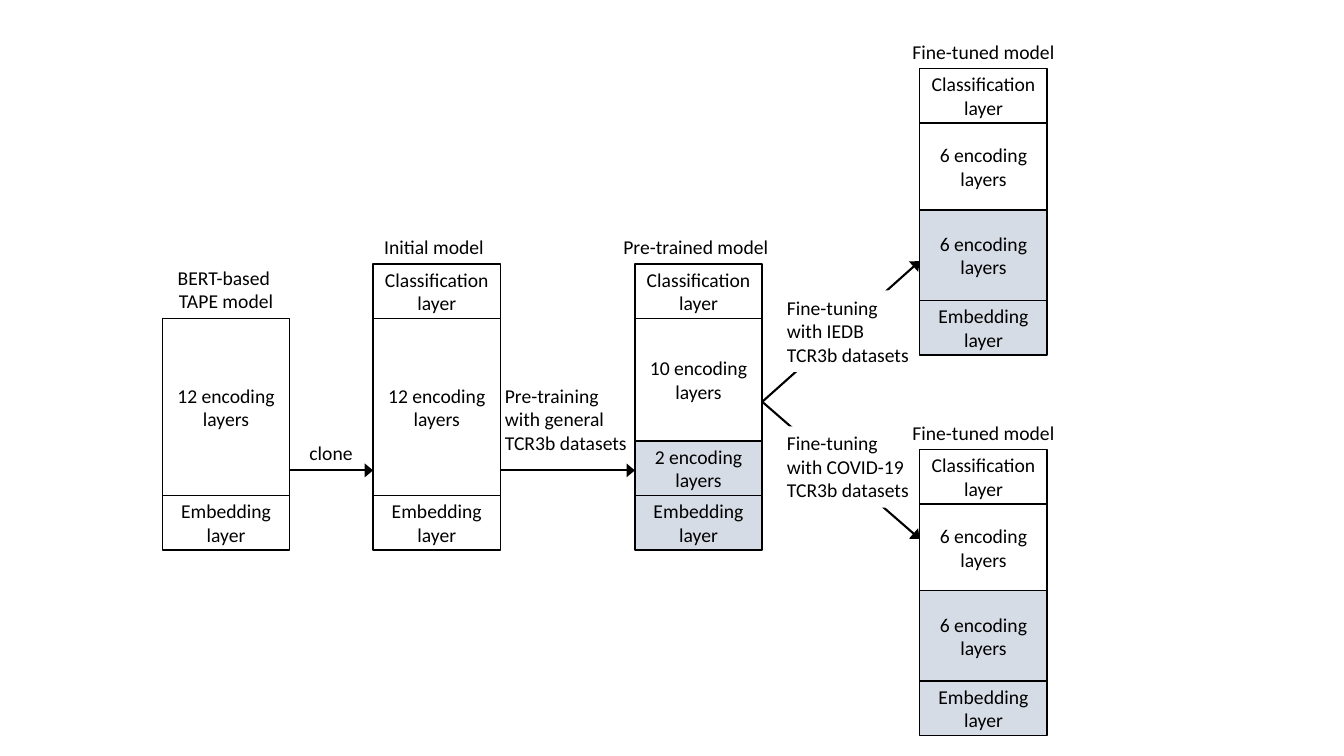
from lxml import etree
from pptx import Presentation
from pptx.dml.color import RGBColor
from pptx.enum import shapes, text
from pptx.oxml import ns
from pptx.util import Pt

BLACK, WHITE, TRAINED = "000000", "FFFFFF", "D6DCE5"
COLUMN_WIDTH = 91
LAYER_HEIGHT = 39
LABEL_WIDTH = 118
LINE_HEIGHT = 17
CENTER, LEFT = text.PP_ALIGN.CENTER, text.PP_ALIGN.LEFT


def color(value):
    return RGBColor.from_string(value)


def write(shape, words, alignment):
    frame = shape.text_frame
    frame.text = words
    for paragraph in frame.paragraphs:
        paragraph.alignment = alignment
        for run in paragraph.runs:
            run.font.size = Pt(14)
            run.font.name = "Calibri"
            run.font.color.rgb = color(BLACK)


def add_label(slide, words, left, top, width, alignment=LEFT, fill=None):
    """Unwrapped text whose height follows its number of lines."""
    height = LINE_HEIGHT * len(words.split("\n")) + 7.2
    shape = slide.shapes.add_textbox(Pt(left), Pt(top), Pt(width), Pt(height))
    if fill:
        shape.fill.solid()
        shape.fill.fore_color.rgb = color(fill)
    write(shape, words, alignment)
    shape.text_frame.word_wrap = False
    shape.text_frame.auto_size = text.MSO_AUTO_SIZE.SHAPE_TO_FIT_TEXT


def add_arrow(slide, start, end):
    arrow = slide.shapes.add_connector(
        shapes.MSO_CONNECTOR.STRAIGHT, *(Pt(value) for value in (*start, *end)))
    arrow.line.width = Pt(1.5)
    arrow.line.color.rgb = color(BLACK)
    etree.SubElement(arrow.line._get_or_add_ln(), ns.qn("a:tailEnd"),
                     type="triangle", w="lg", len="med")
    etree.SubElement(arrow._element.spPr, ns.qn("a:effectLst"))


def add_layer(group, words, fill, left, top, height):
    layer = group.shapes.add_shape(
        shapes.MSO_SHAPE.RECTANGLE, Pt(left), Pt(top), Pt(COLUMN_WIDTH), Pt(height))
    layer.shadow.inherit = False
    if fill:
        layer.fill.solid()
        layer.fill.fore_color.rgb = color(fill)
    else:
        layer.fill.background()
    layer.line.color.rgb = color(BLACK)
    layer.line.width = Pt(1)
    write(layer, words, CENTER)
    frame = layer.text_frame
    frame.word_wrap = True
    frame.vertical_anchor = text.MSO_ANCHOR.MIDDLE
    frame.margin_left = frame.margin_right = Pt(3)
    frame.margin_top = frame.margin_bottom = Pt(3.6)


def add_model(slide, title, left, top, layers, title_shift=0):
    """A stack of layers from top down, with its title above."""
    title_height = LINE_HEIGHT * len(title.split("\n")) + 7.2
    title_left = left + (COLUMN_WIDTH - LABEL_WIDTH) / 2 + title_shift
    add_label(slide, title, title_left, top - title_height, LABEL_WIDTH, CENTER)
    group = slide.shapes.add_group_shape()
    for words, height, fill in layers:
        add_layer(group, words, fill, left, top, height)
        top += height


def add_training_steps(slide, columns, clone_y, branch_y):
    """Arrows between the model columns, each with its caption."""
    tape, initial, pretrained, finetuned = columns
    add_arrow(slide, (tape + COLUMN_WIDTH, clone_y), (initial, clone_y))
    add_label(slide, "clone", tape + 98, clone_y - 24.5, 52)
    add_arrow(slide, (initial + COLUMN_WIDTH, clone_y), (pretrained, clone_y))
    add_label(slide, "Pre-training\nwith general\nTCR3b datasets",
              initial + 87, clone_y - 65.5, 109)

    branch = (pretrained + COLUMN_WIDTH, branch_y)
    for target_y in (186.5, 385):
        add_arrow(slide, branch, (finetuned, target_y))
    for dataset, top in (("IEDB", 207.5), ("COVID-19", 304.5)):
        add_label(slide, f"Fine-tuning\nwith {dataset}\nTCR3b datasets",
                  finetuned - 102, top, 109, fill=WHITE)


def build_slide(slide):
    columns = tape, initial, pretrained, finetuned = 116, 266.5, 453.5, 657
    initial_top = 188.5
    classification = ("Classification layer", LAYER_HEIGHT, None)
    embedding = ("Embedding layer", LAYER_HEIGHT, None)
    trained_embedding = ("Embedding layer", LAYER_HEIGHT, TRAINED)
    encoding = ("12 encoding layers", 126.5, None)

    add_training_steps(slide, columns, clone_y=336, branch_y=287)
    add_model(slide, "BERT-based \nTAPE model", tape, initial_top + LAYER_HEIGHT,
              [encoding, embedding])
    add_model(slide, "Initial model", initial, initial_top,
              [classification, encoding, embedding], title_shift=-2)
    add_model(slide, "Pre-trained model", pretrained, initial_top,
              [classification, ("10 encoding layers", 87.5, None),
               ("2 encoding layers", LAYER_HEIGHT, TRAINED), trained_embedding],
              title_shift=-2)
    for top in (49, 321):
        add_model(slide, "Fine-tuned model", finetuned, top,
                  [classification, ("6 encoding layers", 62, None),
                   ("6 encoding layers", 64.5, TRAINED), trained_embedding])


def main():
    presentation = Presentation()
    presentation.slide_width, presentation.slide_height = Pt(960), Pt(540)
    build_slide(presentation.slides.add_slide(presentation.slide_layouts[6]))
    presentation.save("out.pptx")


if __name__ == "__main__":
    main()
